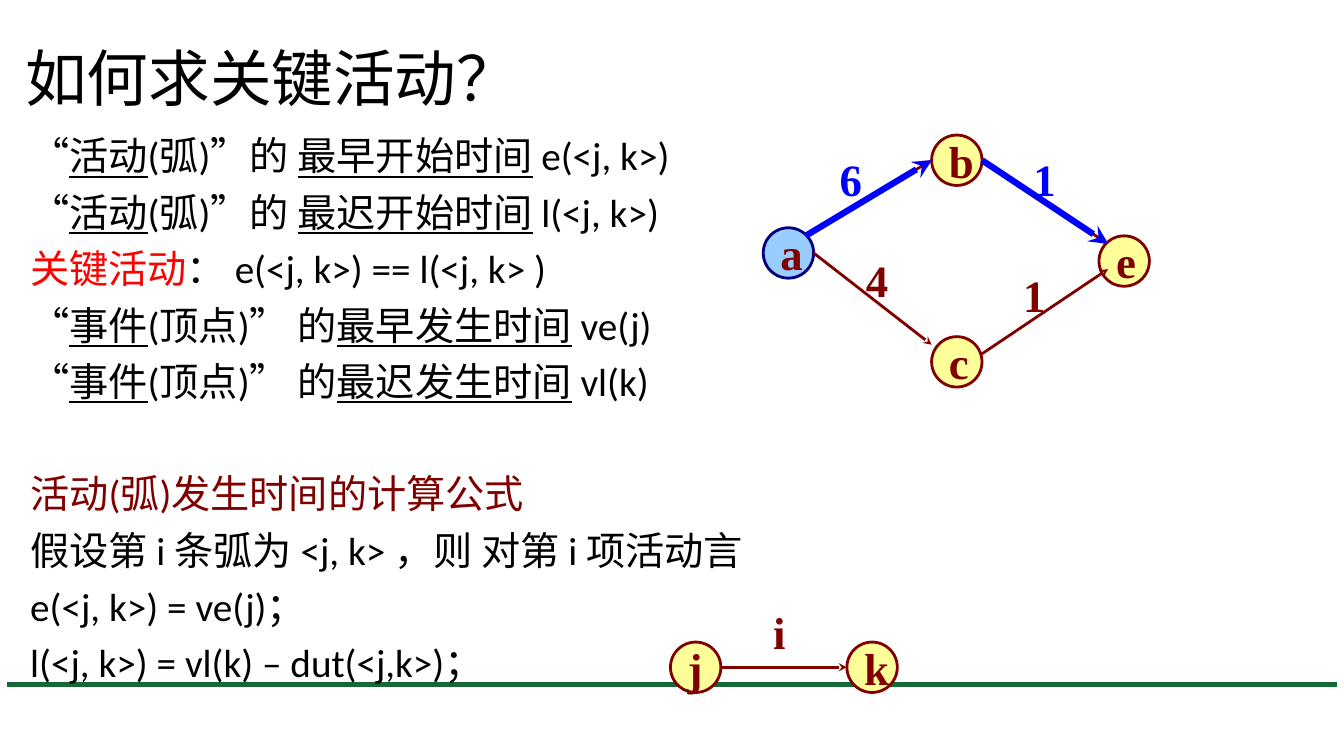
import pptx
import pptx.util
import pptx.dml.color
import pptx.enum.shapes
import pptx.enum.text
import pptx.oxml.ns
import lxml.etree

Inches, Pt = pptx.util.Inches, pptx.util.Pt
MSO_ANCHOR = pptx.enum.text.MSO_ANCHOR
MSO_AUTO_SIZE = pptx.enum.text.MSO_AUTO_SIZE
COLORS = {
    "text": "000000", "key": "FF0000", "maroon": "800000", "blue": "0000FF",
    "navy": "000080", "sky": "99CCFF", "yellow": "FFFF99", "green": "166936",
}
NODE_SIZE = 0.5


def rgb(name):
    return pptx.dml.color.RGBColor.from_string(COLORS[name])


def sub(parent, tag, **attributes):
    return lxml.etree.SubElement(parent, pptx.oxml.ns.qn(tag), **attributes)


def write(paragraph, text, font="Calibri", size=28, color="text", bold=None, underline=None):
    run = paragraph.add_run()
    run.text = text
    run.font.name, run.font.size = font, Pt(size)
    run.font.bold, run.font.underline = bold, underline
    run.font.color.rgb = rgb(color)


class GraphSlide:
    """Style and drawing methods for the current slide."""

    label_style = {"font": "Times New Roman", "size": 32, "bold": True}

    def __init__(self, deck):
        self.slide = deck.slides.add_slide(deck.slide_layouts[1])
        self.shapes = self.slide.shapes

    def place(self, holder, left, top, width, height):
        holder.left, holder.top = Inches(left), Inches(top)
        holder.width, holder.height = Inches(width), Inches(height)
        frame = holder.text_frame
        frame.word_wrap = True
        frame.auto_size = MSO_AUTO_SIZE.NONE
        frame.vertical_anchor = MSO_ANCHOR.TOP
        return frame

    def title(self, text, *box):
        heading = self.place(self.shapes.title, *box).paragraphs[0]
        heading.alignment = pptx.enum.text.PP_ALIGN.LEFT
        heading.line_spacing = 0.9
        write(heading, text, font="Noto Sans CJK SC", size=44)

    def body(self, lines, *box):
        frame = self.place(self.slide.placeholders[1], *box)
        for index, (gap, runs) in enumerate(lines):
            line = frame.paragraphs[0] if index == 0 else frame.add_paragraph()
            properties = line._p.get_or_add_pPr()
            properties.set("marL", "0")
            properties.set("indent", "0")
            sub(properties, "a:buNone")
            line.line_spacing = 0.9
            line.space_before = Pt(gap if index else 0)
            for text, style in runs:
                write(line, text, **style)

    def line(self, start, end, color, width, arrow=True):
        connector = self.shapes.add_connector(
            pptx.enum.shapes.MSO_CONNECTOR.STRAIGHT, *map(Inches, start + end))
        connector.line.color.rgb = rgb(color)
        connector.line.width = Pt(width)
        if arrow:
            sub(connector.line._get_or_add_ln(), "a:tailEnd", type="stealth")
        sub(connector._element.spPr, "a:effectLst")
        return connector

    def node(self, name, left, top, fill="yellow", outline="maroon"):
        circle = self.shapes.add_shape(
            pptx.enum.shapes.MSO_SHAPE.OVAL, *map(Inches, (left, top, NODE_SIZE, NODE_SIZE)))
        circle.shadow.inherit = False
        circle.fill.solid()
        circle.fill.fore_color.rgb = rgb(fill)
        circle.line.color.rgb = rgb(outline)
        circle.line.width = Pt(2)
        frame = circle.text_frame
        frame.word_wrap = False
        frame.vertical_anchor = MSO_ANCHOR.MIDDLE
        frame.paragraphs[0].alignment = pptx.enum.text.PP_ALIGN.LEFT
        write(frame.paragraphs[0], name, color="maroon", **self.label_style)

    def label(self, text, left, top, width=0.42, color="maroon"):
        box = self.shapes.add_textbox(*map(Inches, (left, top, width, 0.63)))
        box.text_frame.word_wrap = False
        write(box.text_frame.paragraphs[0], text, color=color, **self.label_style)


def time_line(subject, middle, moment, symbol):
    underlined = {"underline": True}
    return 10, [("“", {}), (subject, underlined), (middle, {}), (moment, underlined), (symbol, {})]


def main():
    deck = pptx.Presentation()
    deck.slide_width, deck.slide_height = Inches(13.33), Inches(7.5)
    page = GraphSlide(deck)

    # Footer rule, behind everything else
    rule = page.line((0.07, 6.79), (13.26, 6.79), "green", 3.75, arrow=False)
    page.shapes._spTree.insert(2, rule._element)

    # Title and definitions
    page.title("如何求关键活动？", 0.15, 0.43, 9, 1.12)
    page.body([
        time_line("活动", "(弧)”的 ", "最早开始时间", " e(<j, k>)"),
        time_line("活动", "(弧)”的 ", "最迟开始时间", " l(<j, k>)"),
        (10, [("关键活动", {"color": "key"}), ("： e(<j, k>) == l(<j, k> )", {})]),
        time_line("事件", "(顶点)” 的", "最早发生时间", " ve(j)"),
        time_line("事件", "(顶点)” 的", "最迟发生时间", " vl(k)"),
        (50, [("活动(弧)发生时间的计算公式", {"color": "maroon"})]),
        (10, [("假设第 i 条弧为 <j, k> ，则 对第 i 项活动言", {})]),
        (10, [("e(<j, k>) = ve(j)；", {})]),
        (10, [("l(<j, k>) = vl(k) – dut(<j,k>)；", {})]),
    ], 0.2, 1.31, 9.45, 5.67)

    # Single arc from j to k
    page.node("j", 6.65, 6.37)
    page.node("k", 8.4, 6.37)
    page.line((7.15, 6.62), (8.4, 6.62), "maroon", 2)
    page.label("i", 7.57, 5.95, width=0.32)

    # Activity network
    page.node("a", 7.57, 2.26, fill="sky", outline="navy")
    page.node("b", 9.24, 1.34)
    page.node("c", 9.24, 3.34)
    page.node("e", 10.9, 2.34)
    arcs = [  # weight, label position, start, end, critical
        ("6", (8.23, 1.46), (7.99, 2.34), (9.24, 1.59), True),
        ("4", (8.49, 2.46), (8.07, 2.51), (9.24, 3.42), False),
        ("1", (10.05, 2.61), (9.74, 3.51), (10.99, 2.67), False),
        ("1", (10.15, 1.46), (9.74, 1.59), (10.99, 2.42), True),
    ]
    for weight, spot, start, end, critical in arcs:
        page.line(start, end, "maroon", 2)
        page.label(weight, *spot, color="blue" if critical else "maroon")
        if critical:
            page.line(start, end, "blue", 4.5)

    deck.save("out.pptx")


if __name__ == "__main__":
    main()
